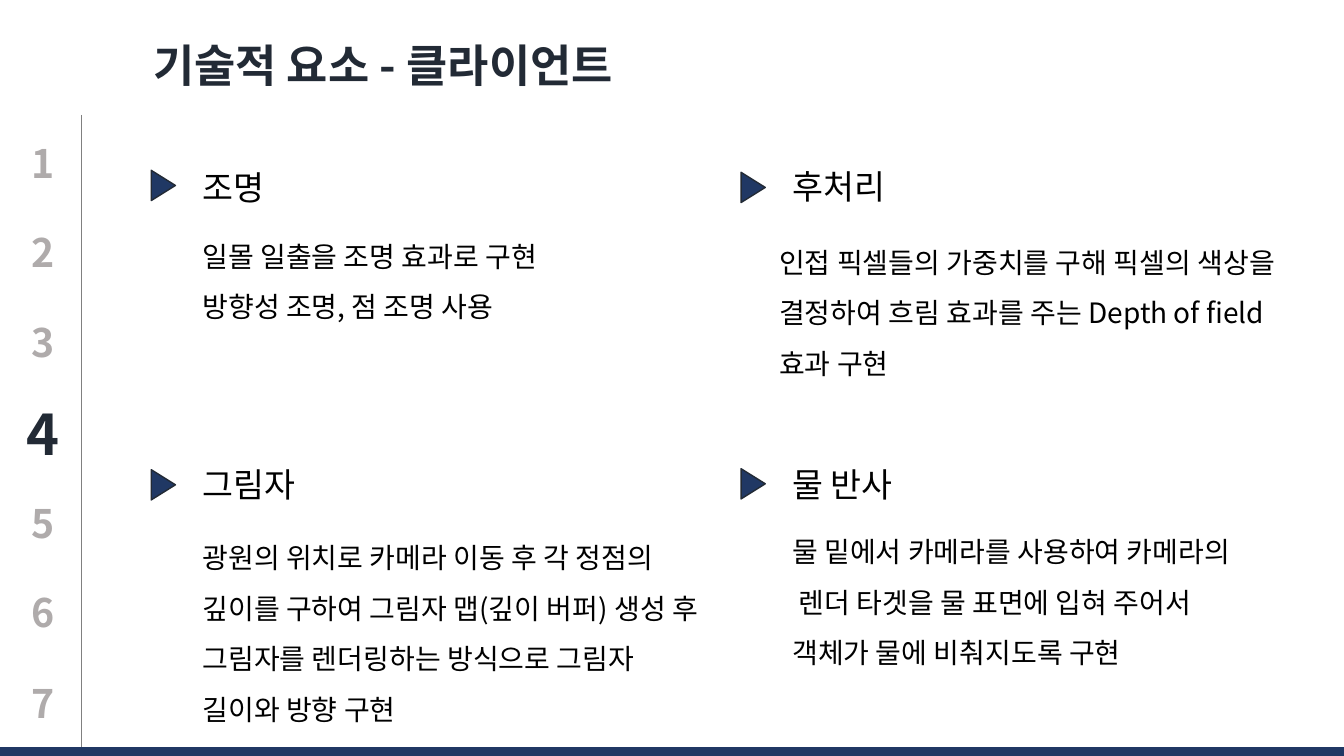
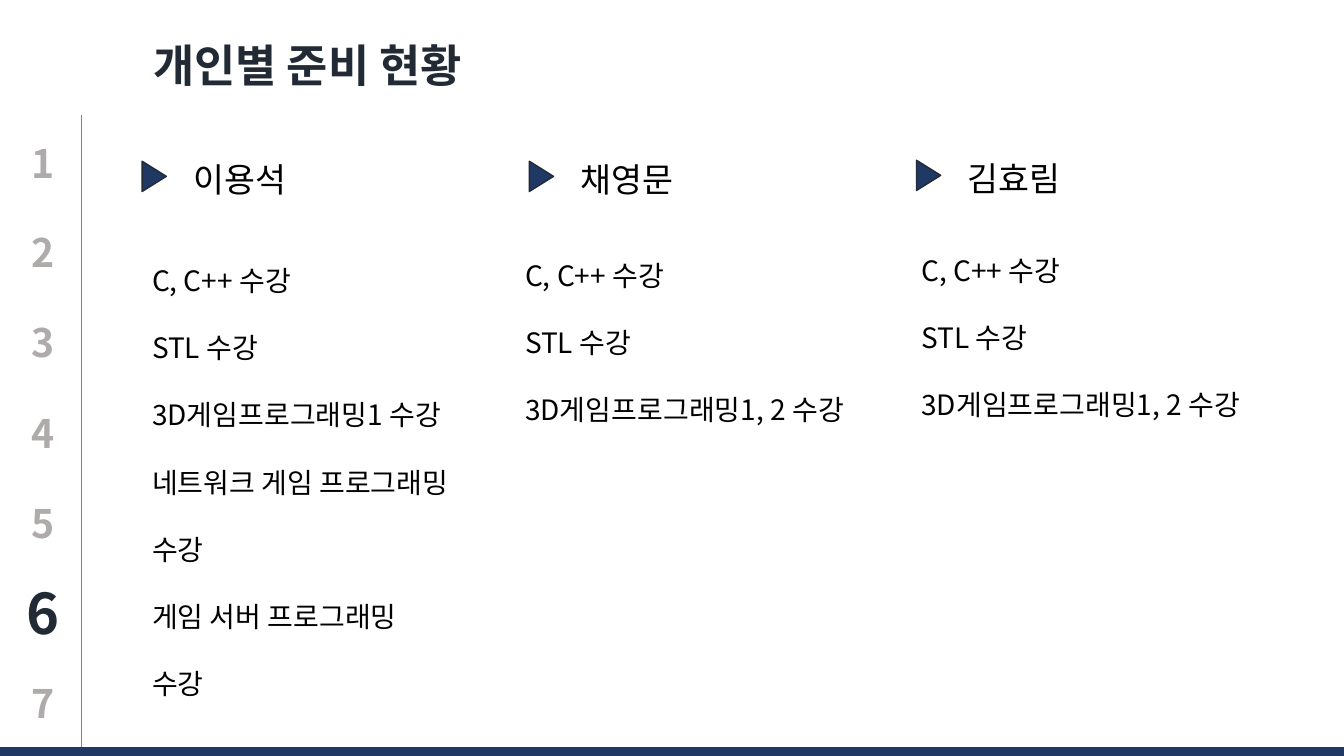
import dataclasses

import lxml.etree
import pptx
import pptx.dml.color
import pptx.enum.shapes
import pptx.enum.text
import pptx.oxml.ns
import pptx.util

SHAPE = pptx.enum.shapes.MSO_SHAPE
SCALE = 9144
WIDE, HIGH = 1333, 750


@dataclasses.dataclass(frozen=True)
class Theme:
    """Colours, font and type sizes of the deck."""

    face: str = "Noto Sans CJK KR"
    dark: str = "222A35"
    navy: str = "203864"
    rule: str = "808080"
    mute: str = "AFABAB"
    ink: str = "000000"
    title: int = 32
    head: int = 24
    body: int = 20
    step: int = 28
    now: int = 40


def px(size):
    """Turn px into EMU."""
    return pptx.util.Emu(size * SCALE)


def tint(code):
    """Turn a hex code into a colour."""
    return pptx.dml.color.RGBColor.from_string(code)


class Deck:
    """Draws styled elements on the current slide."""

    def __init__(self, theme):
        """Start an empty deck."""
        self.theme = theme
        self.file = pptx.Presentation()
        self.file.slide_width = px(WIDE)
        self.file.slide_height = px(HIGH)
        self.slide = None

    def text(self, box, lines, size, hue, bold=False, space=None):
        """Add a text box with one paragraph per line."""
        shape = self.slide.shapes.add_textbox(*map(px, box))
        frame = shape.text_frame
        frame.word_wrap = True
        frame.auto_size = pptx.enum.text.MSO_AUTO_SIZE.SHAPE_TO_FIT_TEXT
        frame.text = "\n".join(lines)
        for para in frame.paragraphs:
            para.line_spacing = space
            font = para.font
            font.size = pptx.util.Pt(size)
            font.bold = bold
            font.color.rgb = tint(hue)
            font.name = self.theme.face
            east = lxml.etree.SubElement(font._element, pptx.oxml.ns.qn("a:ea"))
            east.set("typeface", self.theme.face)

    def shape(self, kind, box, edge, turn=0):
        """Add a navy shape with a thin edge."""
        shape = self.slide.shapes.add_shape(kind, *map(px, box))
        shape.shadow.inherit = False
        shape.rotation = turn
        shape.fill.solid()
        shape.fill.fore_color.rgb = tint(self.theme.navy)
        shape.line.color.rgb = tint(edge)
        shape.line.width = pptx.util.Pt(1)

    def line(self, *ends):
        """Add a thin grey line."""
        kind = pptx.enum.shapes.MSO_CONNECTOR.STRAIGHT
        line = self.slide.shapes.add_connector(kind, *map(px, ends))
        line.line.color.rgb = tint(self.theme.rule)
        line.line.width = pptx.util.Pt(0.5)
        lxml.etree.SubElement(line._element.spPr, pptx.oxml.ns.qn("a:effectLst"))

    def steps(self, now):
        """Add the side numbers with the current one enlarged."""
        look = self.theme
        for num in range(1, 8):
            top = 133 + (num - 1) * 268 // 3
            if num == now:
                self.text((16, top - 10, 47, 77), [str(num)], look.now, look.dark, True)
            else:
                self.text((21, top, 47, 57), [str(num)], look.step, look.mute, True)

    def page(self, title, now):
        """Start a slide with its title, side numbers and bottom band."""
        self.slide = self.file.slides.add_slide(self.file.slide_layouts[6])
        look = self.theme
        self.line(81, 114, 81, HIGH)
        self.text((142, 33, 683, 64), [title], look.title, look.dark, True)
        self.shape(SHAPE.RECTANGLE, (0, 742, WIDE, 10), look.navy)
        self.steps(now)

    def head(self, left, mark, top, name):
        """Add a heading with its arrow mark."""
        look = self.theme
        self.shape(SHAPE.FLOWCHART_EXTRACT, (left, mark, 30, 24), look.dark, 90)
        self.text((left + 44, top, 133, 50), [name], look.head, look.ink)

    def body(self, box, lines, space):
        """Add a block of body text."""
        self.text(box, lines, self.theme.body, self.theme.ink, space=space)


TECH = [
    ((147, 172, 161, "조명"), (191, 216, 396, 105),
     ["일몰 일출을 조명 효과로 구현", "방향성 조명, 점 조명 사용"]),
    ((732, 174, 160, "후처리"), (763, 222, 560, 155),
     ["인접 픽셀들의 가중치를 구해 픽셀의 색상을",
      "결정하여 흐림 효과를 주는 Depth of field", "효과 구현"]),
    ((147, 469, 455, "그림자"), (191, 515, 583, 206),
     ["광원의 위치로 카메라 이동 후 각 정점의",
      "깊이를 구하여 그림자 맵(깊이 버퍼) 생성 후",
      "그림자를 렌더링하는 방식으로 그림자", "길이와 방향 구현"]),
    ((732, 468, 455, "물 반사"), (776, 509, 508, 155),
     ["물 밑에서 카메라를 사용하여 카메라의",
      " 렌더 타겟을 물 표면에 입혀 주어서", "객체가 물에 비춰지도록 구현"]),
]
BASE = ["C, C++ 수강", "STL 수강"]
BOTH = BASE + ["3D게임프로그래밍1, 2 수강"]
TEAM = [
    ((138, 163, 153, "이용석"), (141, 223, 354, 471),
     BASE + ["3D게임프로그래밍1 수강", "네트워크 게임 프로그래밍 수강",
             "게임 서버 프로그래밍 \v수강"]),
    ((522, 163, 153, "채영문"), (511, 218, 393, 201), BOTH),
    ((906, 162, 152, "김효림"), (904, 213, 393, 201), BOTH),
]
PAGES = [
    ("기술적 요소 - 클라이언트", 4, TECH, 1.5),
    ("개인별 준비 현황", 6, TEAM, 2.0),
]


def main():
    """Build and save the deck."""
    deck = Deck(Theme())
    for title, now, parts, space in PAGES:
        deck.page(title, now)
        for head, box, lines in parts:
            deck.head(*head)
            deck.body(box, lines, space)
    deck.file.save("out.pptx")


if __name__ == "__main__":
    main()
